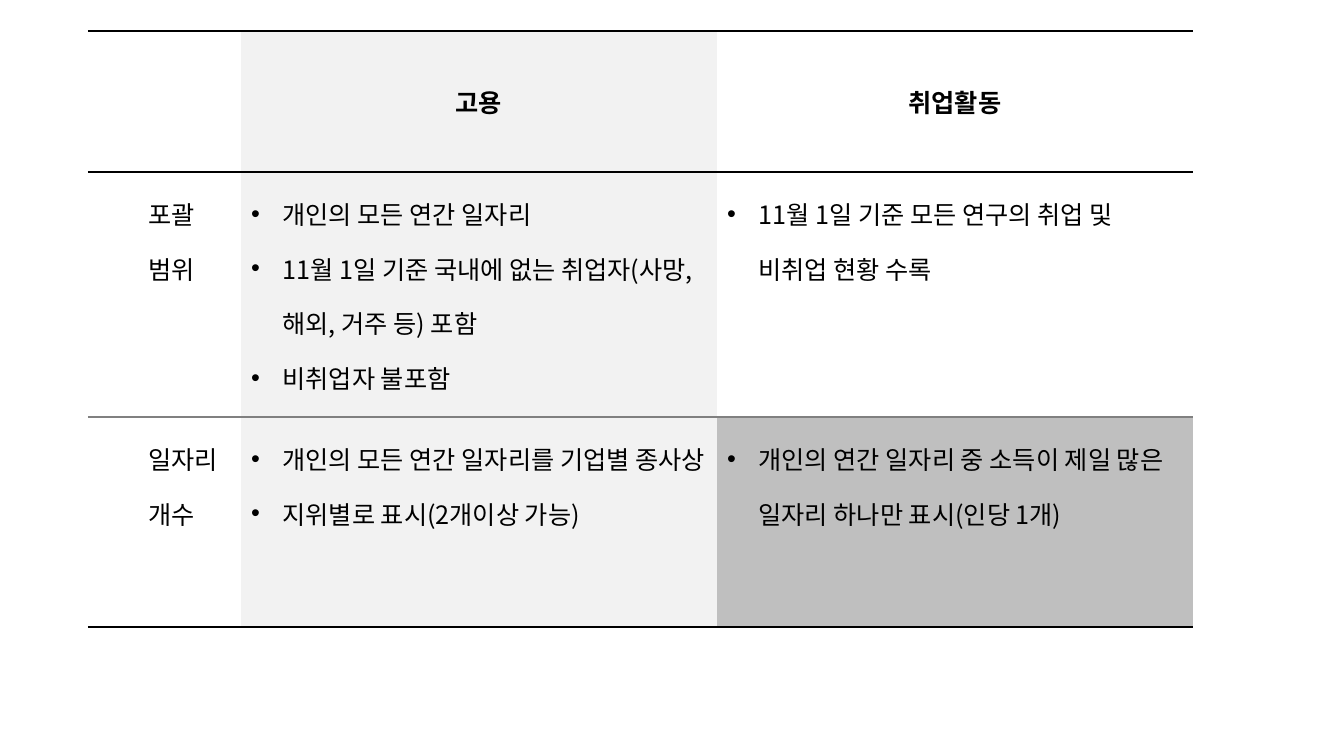
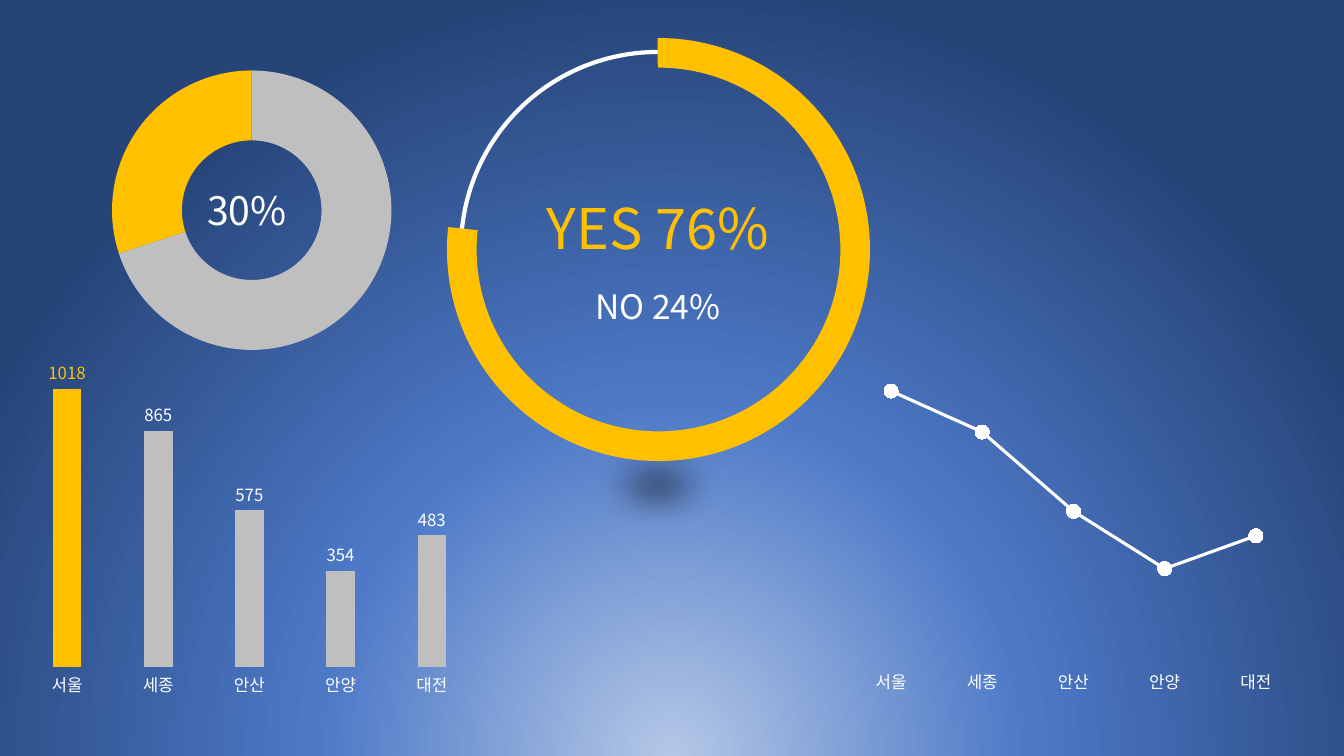
import pptx
import pptx.util
import pptx.dml.color
import pptx.chart.data
import pptx.enum.chart
import pptx.enum.shapes
import pptx.enum.text
import pptx.oxml
import pptx.oxml.ns

FONT = "Noto Sans CJK KR"
GOLD, GREY, WHITE, BLACK = "FFC000", "BFBFBF", "FFFFFF", "000000"
PALE, RULE = "F2F2F2", "808080"
PX = 914400 / 100.8

HEAD = ["", "고용", "취업활동"]
BODY = [
    [["포괄", "범위"],
     ["개인의 모든 연간 일자리",
      "11월 1일 기준 국내에 없는 취업자(사망, 해외, 거주 등) 포함",
      "비취업자 불포함"],
     ["11월 1일 기준 모든 연구의 취업 및 비취업 현황 수록"]],
    [["일자리", "개수"],
     ["개인의 모든 연간 일자리를 기업별 종사상",
      "지위별로 표시(2개이상 가능)"],
     ["개인의 연간 일자리 중 소득이 제일 많은 일자리 하나만 표시(인당 1개)"]],
]
COLS, ROWS = [153, 476, 476], [141, 245, 210]
FILLS = [[None, PALE, None], [None, PALE, None], [None, PALE, GREY]]
RULES = [(BLACK, 2.25), (BLACK, 1), (RULE, 1), (BLACK, 2.25)]
STOPS = [(0, "B4C7E7"), (46, "4D79C7"), (100, "264478")]
CITIES = ["서울", "세종", "안산", "안양", "대전"]
COUNTS = [1018, 865, 575, 354, 483]
TREND = [100, 85, 56, 35, 47]
SHARE = [70, 30]
TEXTS = [
    ("YES 76%", (499, 189, 318, 77), 40, GOLD),
    ("NO 24%", (564, 281, 188, 50), 24, WHITE),
    ("30%", (184, 181, 126, 58), 28, WHITE),
]

qn = pptx.oxml.ns.qn
Pt = pptx.util.Pt
KIND = pptx.enum.chart.XL_CHART_TYPE
SHAPE = pptx.enum.shapes.MSO_SHAPE
ALIGN = pptx.enum.text.PP_ALIGN
ANCHOR = pptx.enum.text.MSO_ANCHOR


def px(*vals):
    return [pptx.util.Emu(round(v * PX)) for v in vals]


def rgb(code):
    return pptx.dml.color.RGBColor.from_string(code)


def xml(text):
    space = pptx.oxml.ns.nsdecls("a", "p", "c")
    return pptx.oxml.parse_xml(text.replace(" ", f" {space} ", 1))


def paint(fill, code):
    if code:
        fill.solid()
        fill.fore_color.rgb = rgb(code)
    else:
        fill.background()


def put(item, vals):
    for key, val in vals.items():
        setattr(item, key, val)


def face(font, size, code, bold=False):
    put(font, {"name": FONT, "size": Pt(size), "bold": bold})
    font.color.rgb = rgb(code)


def asian(root):
    for node in list(root.iter(qn("a:latin"))):
        node.addnext(xml(f'<a:ea typeface="{FONT}"/>'))


def edge(side, rule):
    code, wide = rule
    return xml(f'<a:ln{side} w="{Pt(wide)}"><a:solidFill><a:srgbClr val="{code}"/>'
               f'</a:solidFill></a:ln{side}>')


def fill_cell(cell, lines, col, top):
    frame = cell.text_frame
    for num, line in enumerate(lines):
        para = frame.paragraphs[0] if num == 0 else frame.add_paragraph()
        run = para.add_run()
        run.text = line
        face(run.font, 18, BLACK, top)
        if top:
            para.alignment = ALIGN.CENTER
        else:
            put(para, {"line_spacing": 1.5, "level": int(col == 0)})
    if top:
        cell.vertical_anchor = ANCHOR.MIDDLE


def indent(para, col):
    prop = para.get_or_add_pPr()
    left = px(50.4 if col == 0 else 31.5)[0]
    put_in = {"marL": left, "indent": 0 if col == 0 else -left}
    for key, val in put_in.items():
        prop.set(key, str(int(val)))
    if col:
        prop.append(xml('<a:buFont typeface="Arial"/>'))
        prop.append(xml('<a:buChar char="•"/>'))


def add_grid(slide):
    box = px(88, 31, sum(COLS), sum(ROWS))
    frame = slide.shapes.add_table(len(ROWS), len(COLS), *box)
    table = frame.table
    put(table, {"first_row": False, "horz_banding": False})
    for node in frame.element.iter(qn("a:tableStyleId")):
        node.text = "{2D5ABB26-0587-4C30-8999-92F81FD0307C}"
    for col, wide in zip(table.columns, px(*COLS)):
        col.width = wide
    for row, high in zip(table.rows, px(*ROWS)):
        row.height = high
    data = [[[t] if t else [] for t in HEAD]] + BODY
    nodes = list(frame.element.iter(qn("a:tc")))
    for num, node in enumerate(nodes):
        row, col = divmod(num, len(COLS))
        cell = table.cell(row, col)
        fill_cell(cell, data[row][col], col, row == 0)
        paint(cell.fill, FILLS[row][col])
        prop = node.get_or_add_tcPr()
        prop.insert(0, edge("T", RULES[row]))
        prop.insert(1, edge("B", RULES[row + 1]))
        if row:
            for para in node.iter(qn("a:p")):
                indent(para, col)


def add_plot(slide, kind, box, cats, vals):
    data = pptx.chart.data.CategoryChartData()
    data.categories = cats
    data.add_series("Series 1", vals)
    chart = slide.shapes.add_chart(kind, *px(*box), data).chart
    put(chart, {"has_title": False, "has_legend": False})
    face(chart.font, 10, BLACK)
    plot = chart.plots[0]
    plot.vary_by_categories = False
    return chart, plot, plot.series[0]


def set_axes(chart):
    none = pptx.enum.chart.XL_TICK_MARK.NONE
    axis = chart.category_axis
    put(axis, {"major_tick_mark": none, "minor_tick_mark": none})
    axis.format.line.fill.background()
    face(axis.tick_labels.font, 12, WHITE)
    put(chart.value_axis, {"has_major_gridlines": False, "visible": False,
                           "minimum_scale": 0})


def add_bars(slide):
    chart, plot, ser = add_plot(slide, KIND.COLUMN_CLUSTERED,
                                (12, 332, 475, 372), CITIES, COUNTS)
    set_axes(chart)
    put(plot, {"gap_width": 219, "overlap": -27})
    paint(ser.format.fill, GREY)
    paint(ser.points[0].format.fill, GOLD)
    tags = ser.data_labels
    out = pptx.enum.chart.XL_LABEL_POSITION.OUTSIDE_END
    put(tags, {"show_value": True, "position": out})
    face(tags.font, 12, WHITE)
    first = ser.points[0].data_label
    face(first.font, 12, GOLD)
    first.position = out
    asian(chart.element)


def add_ring(slide):
    chart, plot, ser = add_plot(slide, KIND.DOUGHNUT, (20, 38, 459, 325),
                                ["1", "2"], SHARE)
    for num, code in enumerate([GREY, GOLD]):
        form = ser.points[num].format
        paint(form.fill, code)
        form.line.fill.background()
    for node in chart.element.iter(qn("c:holeSize")):
        node.set("val", "60")
    area = next(chart.element.iter(qn("c:plotArea")))
    for node in area.findall(qn("c:layout")):
        area.remove(node)
    spots = {"x": 0.2, "y": 0.1, "w": 0.61, "h": 0.86}
    parts = "".join(f'<c:{k} val="{v}"/>' for k, v in spots.items())
    area.insert(0, xml('<c:layout ><c:manualLayout><c:layoutTarget val="inner"/>'
                       '<c:xMode val="edge"/><c:yMode val="edge"/>'
                       f'{parts}</c:manualLayout></c:layout>'))
    asian(chart.element)


def add_trend(slide):
    chart, plot, ser = add_plot(slide, KIND.LINE_MARKERS,
                                (836, 329, 475, 372), CITIES, TREND)
    set_axes(chart)
    ser.smooth = False
    paint(ser.format.line.fill, WHITE)
    ser.format.line.width = Pt(2.25)
    dot = pptx.enum.chart.XL_MARKER_STYLE.CIRCLE
    put(ser.marker, {"style": dot, "size": 10})
    paint(ser.marker.format.fill, WHITE)
    paint(ser.marker.format.line.fill, WHITE)
    asian(chart.element)


def add_form(slide, kind, box, fill, line=None, wide=1):
    form = slide.shapes.add_shape(kind, *px(*box))
    form.shadow.inherit = False
    paint(form.fill, fill)
    paint(form.line.fill, line)
    if line:
        form.line.width = Pt(wide)
    return form


def add_dial(slide):
    shade = add_form(slide, SHAPE.OVAL, (558, 433, 199, 104), BLACK, "43739E")
    tint = next(shade.element.iter(qn("a:srgbClr")))
    tint.append(xml('<a:alpha val="60000"/>'))
    glow = next(shade.element.iter(qn("a:effectLst")))
    glow.append(xml('<a:softEdge rad="317500"/>'))
    add_form(slide, SHAPE.OVAL, (461, 52, 394, 394), None, WHITE, 3)
    arc = add_form(slide, SHAPE.BLOCK_ARC, (447, 38, 423, 423), GOLD)
    for num, val in enumerate([161.86, 111.66, 0.07]):
        arc.adjustments[num] = val


def add_text(slide, text, box, size, code):
    frame = slide.shapes.add_textbox(*px(*box)).text_frame
    put(frame, {"word_wrap": True, "vertical_anchor": ANCHOR.MIDDLE})
    para = frame.paragraphs[0]
    para.alignment = ALIGN.CENTER
    run = para.add_run()
    run.text = text
    face(run.font, size, code)


def add_back(slide):
    stops = "".join(f'<a:gs pos="{at * 1000}"><a:srgbClr val="{code}"/></a:gs>'
                    for at, code in STOPS)
    slide.element.cSld.insert(0, xml(
        f'<p:bg ><p:bgPr><a:gradFill><a:gsLst>{stops}</a:gsLst>'
        '<a:path path="circle"><a:fillToRect l="50000" t="130000" r="50000" '
        'b="-30000"/></a:path></a:gradFill><a:effectLst/></p:bgPr></p:bg>'))


def main():
    deck = pptx.Presentation()
    deck.slide_width, deck.slide_height = px(1344, 756)
    blank = deck.slide_layouts[6]
    grid, stats = [deck.slides.add_slide(blank) for _ in range(2)]
    add_grid(grid)
    add_back(stats)
    add_bars(stats)
    add_ring(stats)
    add_dial(stats)
    for item in TEXTS:
        add_text(stats, *item)
    add_trend(stats)
    for slide in (grid, stats):
        asian(slide.element)
    deck.save("out.pptx")


if __name__ == "__main__":
    main()
